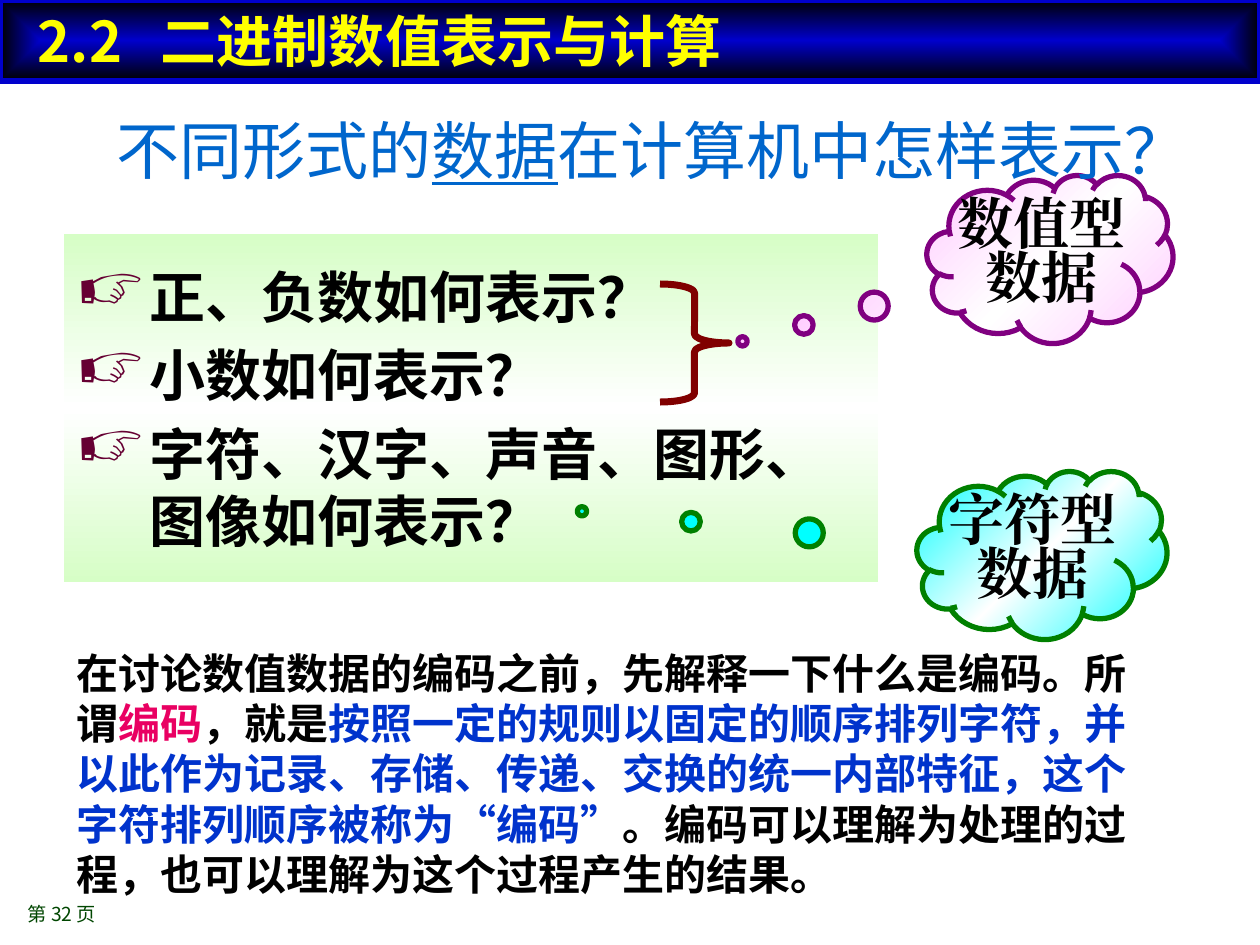
"""Build a slide on how different forms of data are represented in a computer."""
from dataclasses import dataclass

from lxml import etree
from pptx import Presentation
from pptx import util as u
from pptx.dml import color
from pptx.enum import shapes, text
from pptx.oxml import ns


@dataclass(frozen=True)
class Theme:
    black: str = "000000"
    white: str = "FFFFFF"
    navy: str = "0000CC"
    yellow: str = "FFFF00"
    title_blue: str = "0066CC"
    term_blue: str = "0033CC"
    term_pink: str = "E90062"
    page_green: str = "004600"
    mint: str = "D6FEC6"
    bullet: str = "660033"
    brace: str = "800000"
    pink: str = "FFCCFF"
    purple: str = "800080"
    cyan: str = "00FFFF"
    green: str = "008000"
    sans: str = "Noto Sans CJK SC"
    banner_font: str = "Noto Sans CJK JP"
    serif: str = "Times New Roman"
    title_size: int = 36
    large_size: int = 32
    body_size: int = 24
    page_size: int = 11


def px(length):
    """Turn px into EMU."""
    return u.Emu(round(length * 914400 / 126))


def apply(target, values):
    """Set each attribute named in values on target."""
    for name, value in values.items():
        setattr(target, name, value)


def add_node(parent, tag, **attributes):
    """Append one XML element to parent."""
    return etree.SubElement(parent, ns.qn(tag), attributes)


class SlideBuilder:
    """Hold the theme and the current page, and add elements to it."""

    def __init__(self, theme, page):
        self.theme, self.page = theme, page

    def shape(self, kind, at, line=None, width=0, adjustments=()):
        """Add an unfilled preset shape with an optional outline."""
        box = self.page.shapes.add_shape(kind, *map(px, at))
        box.shadow.inherit = False
        box.fill.background()
        for index, value in enumerate(adjustments):
            box.adjustments[index] = value
        if line:
            box.line.color.rgb = color.RGBColor.from_string(line)
            box.line.width = u.Pt(width)
        else:
            box.line.fill.background()
        return box

    def gradient(self, box, colours, angle=None):
        """Fill box with even stops, linear at angle or from the centre."""
        box.fill.gradient()
        fill = box.element.spPr.find(ns.qn("a:gradFill"))
        for child in list(fill):
            fill.remove(child)
        stops = add_node(fill, "a:gsLst")
        for index, colour in enumerate(colours):
            position = 100000 * index // (len(colours) - 1)
            stop = add_node(stops, "a:gs", pos=str(position))
            add_node(stop, "a:srgbClr", val=colour)
        if angle is None:
            rings = add_node(fill, "a:path", path="shape")
            add_node(rings, "a:fillToRect", **dict.fromkeys("ltrb", "50000"))
        else:
            add_node(fill, "a:lin", ang=str(angle * 60000), scaled="1")

    def text_box(self, at):
        """Add an empty text box."""
        return self.page.shapes.add_textbox(*map(px, at))

    def put_text(self, box, paras, size, font, bold=False, frame=None, para=None, gap=0, bullet=None, tab=None):
        """Fill box with paragraphs, each a list of (wording, colour, underline) spans."""
        body = box.text_frame
        apply(body, {"word_wrap": True, "vertical_anchor": text.MSO_ANCHOR.TOP, **(frame or {})})
        layout = {"alignment": text.PP_ALIGN.LEFT, "line_spacing": u.Pt(size * 1.2), **(para or {})}
        for index, spans in enumerate(paras):
            line = body.add_paragraph() if index else body.paragraphs[0]
            apply(line, layout)
            if index and gap:
                line.space_before = u.Pt(gap)
            if bullet:
                self.bullet(line, bullet)
            if tab:
                tabs = add_node(line._p.get_or_add_pPr(), "a:tabLst")
                add_node(tabs, "a:tab", pos=str(px(tab)), algn="l")
            for wording, colour, underline in spans:
                span = line.add_run()
                span.text = wording
                apply(span.font, {"size": u.Pt(size), "name": font, "bold": bold, "underline": underline})
                span.font.color.rgb = color.RGBColor.from_string(colour)
                east = etree.Element(ns.qn("a:ea"), typeface=font)
                span._r.rPr.find(ns.qn("a:latin")).addnext(east)

    def bullet(self, line, mark):
        """Give a paragraph a hanging pointer bullet."""
        props = line._p.get_or_add_pPr()
        for name, value in {"marL": px(73), "indent": -px(73)}.items():
            props.set(name, str(value))
        add_node(add_node(props, "a:buClr"), "a:srgbClr", val=self.theme.bullet)
        add_node(props, "a:buSzPct", val="120000")
        add_node(props, "a:buChar", char=mark)

    def cloud(self, at, pointer, wording, tint, line):
        """Add a thought cloud with centred lines of text."""
        theme = self.theme
        box = self.shape(shapes.MSO_SHAPE.CLOUD_CALLOUT, at, line, 3, pointer)
        self.gradient(box, [tint, theme.white, tint], 45)
        self.put_text(box, [[(part, theme.black, False)] for part in wording],
                      theme.large_size, theme.serif, bold=True,
                      frame={"word_wrap": False, "vertical_anchor": text.MSO_ANCHOR.MIDDLE},
                      para={"alignment": text.PP_ALIGN.CENTER, "line_spacing": 0.8})


def main():
    """Build and save the deck."""
    theme = Theme()
    deck = Presentation()
    apply(deck, {"slide_width": px(1260), "slide_height": px(945)})
    slide = SlideBuilder(theme, deck.slides.add_slide(deck.slide_layouts[6]))
    middle = {"vertical_anchor": text.MSO_ANCHOR.MIDDLE}

    page_label = slide.text_box((15, 890, 336, 48))
    slide.put_text(page_label, [[("第 32 页", theme.page_green, False)]],
                   theme.page_size, theme.sans, frame=middle)

    banner = slide.shape(shapes.MSO_SHAPE.RECTANGLE, (0, 0, 1260, 81), theme.navy, 3)
    slide.gradient(banner, [theme.navy, theme.black])
    slide.put_text(banner, [[("2.2\t二进制数值表示与计算", theme.yellow, False)]],
                   theme.large_size, theme.banner_font, bold=True,
                   frame={**middle, "margin_left": px(38)}, tab=123)

    questions = slide.shape(shapes.MSO_SHAPE.ACTION_BUTTON_CUSTOM, (64, 234, 814, 348))
    slide.gradient(questions, [theme.mint, theme.white, theme.mint], 90)
    wording = ("正、负数如何表示？", "小数如何表示？", "字符、汉字、声音、图形、图像如何表示？")
    slide.put_text(questions, [[(item, theme.black, False)] for item in wording],
                   theme.large_size, theme.sans, bold=True, frame=middle, gap=6.4, bullet="☞")

    slide.shape(shapes.MSO_SHAPE.RIGHT_BRACE, (660, 284, 69, 118), theme.brace, 4, (0.13, 0.5))
    slide.cloud((927, 175, 246, 168), (-1.25, 0.49), ("数值型", "数据"), theme.pink, theme.purple)
    slide.cloud((917, 471, 250, 168), (-1.84, -0.26), ("字符型", "数据"), theme.cyan, theme.green)

    heading = slide.text_box((74, 105, 1094, 63))
    slide.put_text(heading, [[("不同形式的", theme.title_blue, False), ("数据", theme.title_blue, True),
                              ("在计算机中怎样表示？", theme.title_blue, False)]],
                   theme.title_size, theme.sans, frame={"word_wrap": False},
                   para={"alignment": text.PP_ALIGN.CENTER})

    explanation = slide.text_box((64, 641, 1092, 267))
    slide.put_text(explanation, [[
        ("在讨论数值数据的编码之前，先解释一下什么是编码。所谓", theme.black, False),
        ("编码", theme.term_pink, False),
        ("，就是", theme.black, False),
        ("按照一定的规则以固定的顺序排列字符，并以此作为记录、存储、传递、交换的"
         "统一内部特征，这个字符排列顺序被称为“编码”", theme.term_blue, False),
        ("。编码可以理解为处理的过程，也可以理解为这个过程产生的结果。", theme.black, False),
    ]], theme.body_size, theme.sans, bold=True)

    deck.save("out.pptx")


if __name__ == "__main__":
    main()
